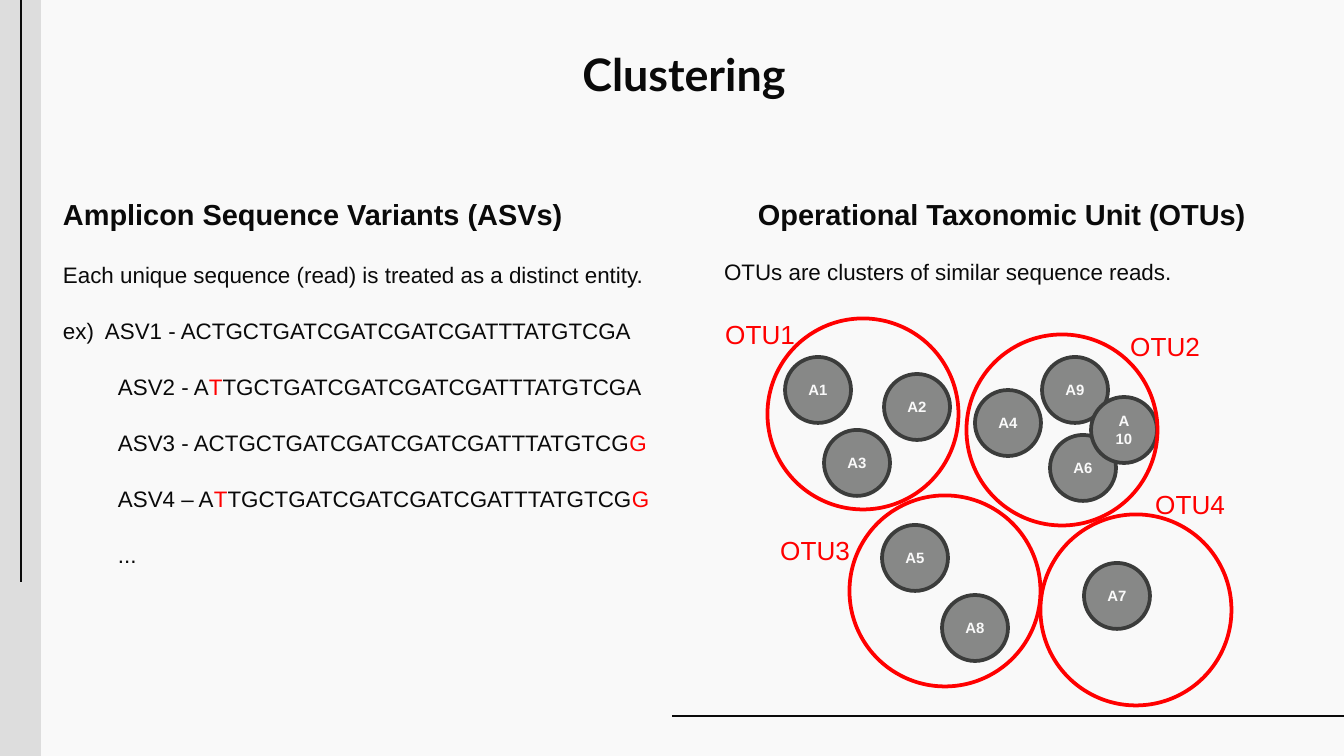
import pptx
import pptx.util
import pptx.dml.color
import pptx.enum.shapes
import pptx.enum.text
import pptx.oxml

INK, PAPER, RED = "0A0A0A", "F9F9F9", "FF0000"
BAND, DOT_FILL, DOT_EDGE = "DDDDDD", "878887", "3B3C3B"
PX = 9144000 / 1344
PAD = 13
DOT, CLUSTER = 66, 191
LINE_SPACING = 2.09

HEADING = dict(size=15.5, bold=True)
BODY = dict(size=12, bold=False)
LABEL = dict(size=14, color=RED)
DOT_TEXT = dict(size=8, bold=True, color=PAPER)

# Each paragraph: left margin, first-line indent, format, spans of (text, colour)
ASV_TEXT = [
    (0, 0, HEADING, [("Amplicon Sequence Variants (ASVs)", INK)]),
    (0, 0, BODY, [("Each unique sequence (read) is treated as a distinct entity.", INK)]),
    (42, -42, BODY, [("ex)\tASV1 - ACTGCTGATCGATCGATCGATTTATGTCGA", INK)]),
    (55, 0, BODY, [("ASV2 - A", INK), ("T", RED), ("TGCTGATCGATCGATCGATTTATGTCGA", INK)]),
    (55, 0, BODY, [("ASV3 - ACTGCTGATCGATCGATCGATTTATGTCG", INK), ("G", RED)]),
    (55, 0, BODY, [("ASV4 – A", INK), ("T", RED),
                   ("TGCTGATCGATCGATCGATTTATGTCG", INK), ("G", RED)]),
    (55, 0, BODY, [("...", INK)]),
]
OTU_HEADING = [(0, 0, HEADING, [("Operational Taxonomic Unit (OTUs)", INK)])]
OTU_TEXT = [(0, 0, BODY, [("OTUs are clusters of similar sequence reads.", INK)])]
TEXT_BOXES = [
    ((745, 146, 523, 493), OTU_HEADING),
    ((50, 146, 616, 493), ASV_TEXT),
    ((711, 216, 620, 493), OTU_TEXT),
]

# Lines of text and centre
READS = [
    (["A1"], 818, 390), (["A3"], 857, 463), (["A2"], 917, 407),
    (["A9"], 1075, 390), (["A4"], 1008, 423), (["A7"], 1117, 596),
    (["A6"], 1083, 468), (["A", "10"], 1124, 430), (["A8"], 975, 628),
    (["A5"], 915, 558),
]
# Name, centre of the circle, corner of the label
CLUSTERS = [
    ("OTU1", (863, 414), (712, 312)),
    ("OTU2", (1062, 430), (1117, 324)),
    ("OTU3", (945, 591), (767, 528)),
    ("OTU4", (1136, 610), (1142, 482)),
]
RULES = [(672, 716, 1344, 716), (21, 582, 21, 0)]


def emu(*lengths):
    return [pptx.util.Emu(round(length * PX)) for length in lengths]


def rgb(color):
    return pptx.dml.color.RGBColor.from_string(color)


def add_span(para, text, size, color=INK, bold=False, name="Arial"):
    span = para.add_run()
    span.text = text
    for key, value in dict(size=pptx.util.Pt(size), bold=bold, name=name).items():
        setattr(span.font, key, value)
    span.font.color.rgb = rgb(color)


def format_frame(frame, pad, wrap=True, anchor="TOP"):
    values = {f"margin_{side}": emu(pad)[0] for side in ("left", "right", "top", "bottom")}
    values["word_wrap"] = wrap
    values["vertical_anchor"] = pptx.enum.text.MSO_ANCHOR[anchor]
    for key, value in values.items():
        setattr(frame, key, value)


def paragraphs(frame, items):
    """Pair each item with a paragraph, using the existing first one."""
    for index, item in enumerate(items):
        yield (frame.add_paragraph() if index else frame.paragraphs[0]), item


def add_text(page, place, content):
    frame = page.shapes.add_textbox(*emu(*place)).text_frame
    format_frame(frame, PAD)
    for para, (margin, indent, style, spans) in paragraphs(frame, content):
        properties = para._p.get_or_add_pPr()
        properties.set("marL", str(emu(margin)[0]))
        properties.set("indent", str(emu(indent)[0]))
        para.line_spacing = LINE_SPACING
        for text, color in spans:
            add_span(para, text, color=color, **style)


def add_figure(page, kind, place, fill=None, edge=None):
    figure = page.shapes.add_shape(pptx.enum.shapes.MSO_SHAPE[kind], *emu(*place))
    figure.shadow.inherit = False
    if fill:
        figure.fill.solid()
        figure.fill.fore_color.rgb = rgb(fill)
    else:
        figure.fill.background()
    if edge:
        figure.line.color.rgb = rgb(edge)
        figure.line.width = pptx.util.Pt(2)
    else:
        figure.line.fill.background()
    return figure


def add_circle(page, center, diameter, fill, edge):
    x, y = (value - diameter / 2 for value in center)
    return add_figure(page, "OVAL", (x, y, diameter, diameter), fill, edge)


def add_rule(page, ends):
    rule = page.shapes.add_connector(pptx.enum.shapes.MSO_CONNECTOR.STRAIGHT, *emu(*ends))
    rule.line.color.rgb = rgb(INK)
    rule.line.width = pptx.util.Pt(0.75)
    rule._element.spPr.append(pptx.oxml.parse_xml(
        '<a:effectLst xmlns:a="http://schemas.openxmlformats.org/drawingml/2006/main"/>'))


def add_title(page, text):
    title = page.shapes.title
    title.left, title.top, title.width, title.height = emu(117, 34, 1134, 80)
    format_frame(title.text_frame, PAD)
    para = title.text_frame.paragraphs[0]
    para.alignment = pptx.enum.text.PP_ALIGN.CENTER
    add_span(para, text, 24, bold=True, name="Lato")


def add_read(page, lines, center):
    frame = add_circle(page, center, DOT, DOT_FILL, DOT_EDGE).text_frame
    format_frame(frame, 0, anchor="MIDDLE")
    for para, line in paragraphs(frame, lines):
        para.alignment = pptx.enum.text.PP_ALIGN.CENTER
        add_span(para, line, **DOT_TEXT)


def main():
    deck = pptx.Presentation()
    deck.slide_width, deck.slide_height = emu(1344, 756)
    page = deck.slides.add_slide(deck.slide_layouts[5])
    page.background.fill.solid()
    page.background.fill.fore_color.rgb = rgb(PAPER)

    add_figure(page, "RECTANGLE", (0, 0, 41, 756), BAND)
    for ends in RULES:
        add_rule(page, ends)
    add_title(page, "Clustering")
    for place, content in TEXT_BOXES:
        add_text(page, place, content)
    for lines, x, y in READS:
        add_read(page, lines, (x, y))
    for name, center, corner in CLUSTERS:
        add_circle(page, center, CLUSTER, None, RED)
        label = page.shapes.add_textbox(*emu(*corner, 97, 46))
        label.text_frame.word_wrap = False
        add_span(label.text_frame.paragraphs[0], name, **LABEL)
    deck.save("out.pptx")


if __name__ == "__main__":
    main()
